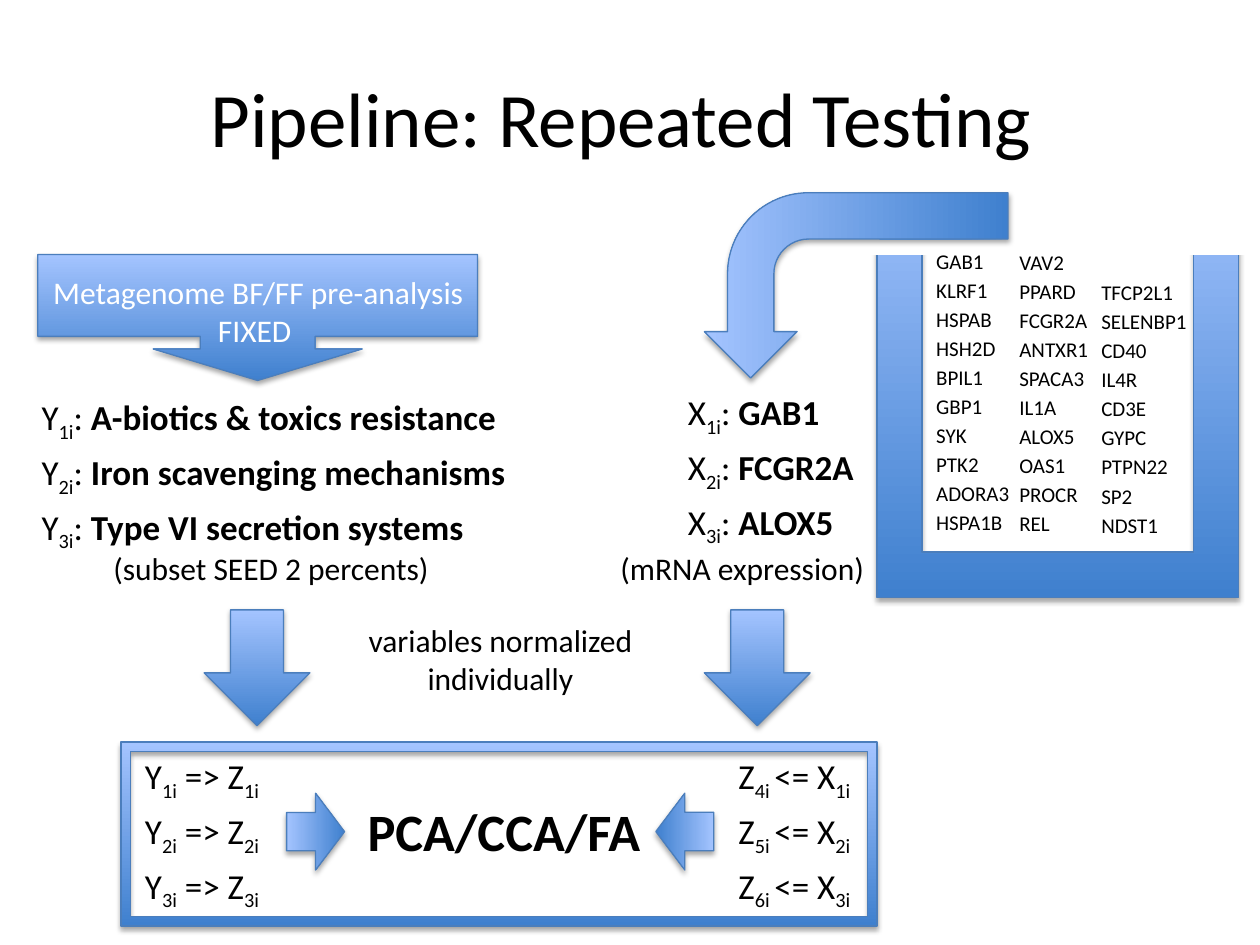
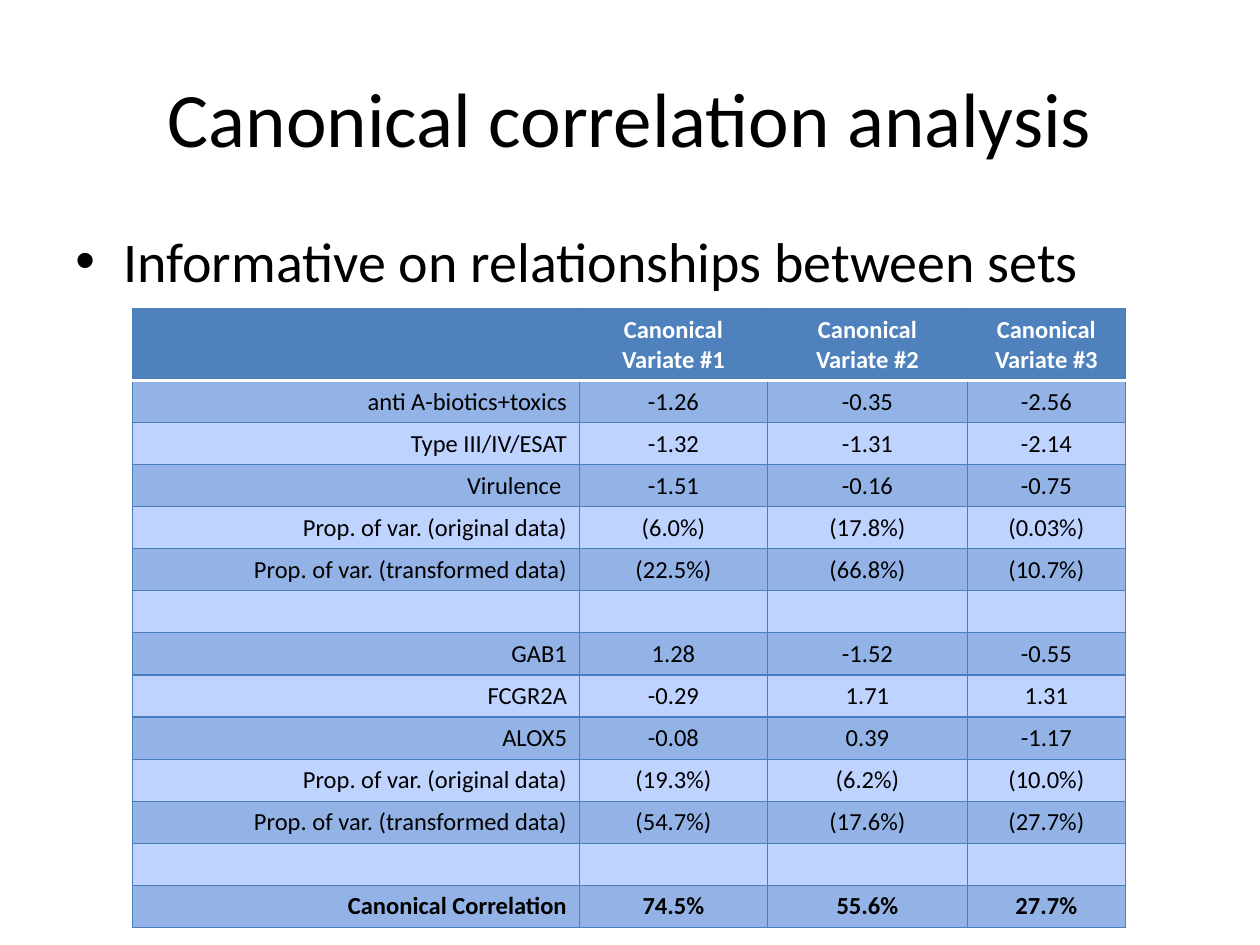
from dataclasses import dataclass

from lxml.etree import SubElement
from pptx import Presentation
from pptx.dml.color import RGBColor
from pptx.enum.shapes import MSO_SHAPE
from pptx.enum.text import MSO_ANCHOR, PP_ALIGN
from pptx.oxml.ns import qn
from pptx.util import Inches, Pt


@dataclass(frozen=True)
class Theme:
    font: str = "Calibri"
    black: str = "000000"
    white: str = "FFFFFF"
    outline: str = "4B7EBC"
    gradient: tuple = ("3F80CE", "A4C4FF")
    header: str = "4F81BD"
    bands: tuple = ("93B2E5", "BFD3FF")
    title: int = 44
    body: int = 32
    method: int = 30
    variable: int = 20
    label: int = 18
    cell: int = 14
    gene: int = 12


theme = Theme()
TITLE_BOX = (0.5, 0.3, 9, 1.25)


def add_text(slide, box, lines, size, align=PP_ALIGN.LEFT, color=theme.black,
             left_margin=0.1, spacing=0, anchor=MSO_ANCHOR.TOP):
    """Add one paragraph per line; *stars* mark bold and _underscores_ mark subscripts."""
    shape = slide.shapes.add_textbox(*map(Inches, box))
    frame = shape.text_frame
    frame.word_wrap = True
    frame.vertical_anchor = anchor
    frame.margin_left = Inches(left_margin)
    for index, line in enumerate(lines):
        paragraph = frame.add_paragraph() if index else frame.paragraphs[0]
        paragraph.alignment = align
        paragraph.space_before = Pt(spacing)
        paragraph.font.name = theme.font
        paragraph.font.size = Pt(size)
        paragraph.font.color.rgb = RGBColor.from_string(color)
        for bold_index, section in enumerate(line.split("*")):
            for subscript_index, text in enumerate(section.split("_")):
                if not text:
                    continue
                run = paragraph.add_run()
                run.text = text
                if bold_index % 2:
                    run.font.bold = True
                if subscript_index % 2:
                    run._r.get_or_add_rPr().set("baseline", "-25000")
    return shape


def add_gradient_shape(slide, kind, box, rotation=0, adjustments=()):
    """Add a blue gradient shape with a soft shadow below it."""
    shape = slide.shapes.add_shape(kind, *map(Inches, box))
    shape.rotation = rotation
    for index, value in enumerate(adjustments):
        shape.adjustments[index] = value
    shape.fill.gradient()
    shape.fill.gradient_angle = 90
    for stop, color, position in zip(shape.fill.gradient_stops, theme.gradient, (0, 1)):
        stop.color.rgb = RGBColor.from_string(color)
        stop.position = position
    shape.line.color.rgb = RGBColor.from_string(theme.outline)
    shape.line.width = Pt(0.75)
    shape.shadow.inherit = False
    effects = shape._element.spPr.find(qn("a:effectLst"))
    shadow = SubElement(effects, qn("a:outerShdw"), blurRad=str(Pt(3.1)), dist=str(Pt(1.8)),
                        dir="5400000", rotWithShape="0")
    shadow_color = SubElement(shadow, qn("a:srgbClr"), val=theme.black)
    SubElement(shadow_color, qn("a:alpha"), val="35000")
    return shape


presentation = Presentation()
presentation.slide_width = Inches(10)
presentation.slide_height = Inches(7.5)
blank_layout = presentation.slide_layouts[6]

# Slide 1: pipeline
slide = presentation.slides.add_slide(blank_layout)

# The white cover opens the top of the gene container
add_gradient_shape(slide, MSO_SHAPE.FRAME, (6.96, 1.27, 2.87, 3.47))
cover = slide.shapes.add_shape(MSO_SHAPE.RECTANGLE, *map(Inches, (6.75, 0.73, 3.15, 1.29)))
cover.shadow.inherit = False
cover.fill.solid()
cover.fill.fore_color.rgb = RGBColor.from_string(theme.white)
cover.line.color.rgb = RGBColor.from_string(theme.white)
cover.line.width = Pt(0.75)

gene_arrow = add_gradient_shape(slide, MSO_SHAPE.BENT_ARROW, (6.06, 1.06, 1.47, 2.41), 270)
gene_arrow._element.spPr.xfrm.set("flipH", "1")
add_gradient_shape(slide, MSO_SHAPE.DOWN_ARROW_CALLOUT, (0.3, 2.02, 3.49, 1),
                   adjustments=(0.911, 0.829, 0.25, 0.65))
for left in (1.62, 5.59):
    add_gradient_shape(slide, MSO_SHAPE.DOWN_ARROW, (left, 4.84, 0.84, 0.92))
for left, rotation in ((5.13, 90), (2.2, 270)):
    add_gradient_shape(slide, MSO_SHAPE.DOWN_ARROW, (left, 6.37, 0.61, 0.46), rotation)
add_gradient_shape(slide, MSO_SHAPE.FRAME, (0.96, 5.89, 6, 1.46), adjustments=(0.052,))

add_text(slide, TITLE_BOX, ["Pipeline: Repeated Testing "], theme.title,
         PP_ALIGN.CENTER, anchor=MSO_ANCHOR.MIDDLE)

gene_columns = [
    (6.83, 1.92, "GAB1 KLRF1 HSPAB HSH2D BPIL1 GBP1 SYK PTK2 ADORA3 HSPA1B"),
    (7.49, 1.93, "VAV2 PPARD FCGR2A ANTXR1 SPACA3 IL1A ALOX5 OAS1 PROCR REL"),
    (8.14, 2.17, "TFCP2L1 SELENBP1 CD40 IL4R CD3E GYPC PTPN22 SP2 NDST1"),
]
for left, top, genes in gene_columns:
    add_text(slide, (left, top, 2.01, 5.27), genes.split(), theme.gene,
             left_margin=0.6, spacing=2.2)

pathways = ["A-biotics & toxics resistance", "Iron scavenging mechanisms",
            "Type VI secretion systems"]
tested_genes = ["GAB1", "FCGR2A", "ALOX5"]
variable_blocks = [
    ((-0.27, 3.09, 4.65, 1.62), [f"Y_{i}i_: *{name}*" for i, name in enumerate(pathways, 1)]),
    ((4.86, 3.05, 2.3, 1.62), [f"X_{i}i_: *{name}*" for i, name in enumerate(tested_genes, 1)]),
    ((0.55, 5.94, 1.95, 1.41), [f"Y_{i}i_ => Z_{i}i_" for i in (1, 2, 3)]),
    ((5.26, 5.94, 1.95, 1.41), [f"Z_{i + 3}i _<= X_{i}i_" for i in (1, 2, 3)]),
]
for box, lines in variable_blocks:
    add_text(slide, box, lines, theme.variable, left_margin=0.6, spacing=4)

labels = [
    ((0.1, 4.31, 4.16, 0.4), ["(subset SEED 2 percents) "], theme.label, theme.black),
    ((3.84, 4.31, 4.16, 0.4), ["(mRNA expression) "], theme.label, theme.black),
    ((-0.03, 2.12, 4.16, 0.71), ["Metagenome BF/FF pre-analysis", "FIXED "],
     theme.label, theme.white),
    ((1.59, 4.88, 4.82, 1.01), ["variables normalized ", "individually "],
     theme.label, theme.black),
    ((1.59, 6.29, 4.82, 0.61), ["*PCA/CCA/FA*"], theme.method, theme.black),
]
for box, lines, size, color in labels:
    add_text(slide, box, lines, size, PP_ALIGN.CENTER, color)

# Slide 2: canonical correlation table
slide = presentation.slides.add_slide(blank_layout)
add_text(slide, TITLE_BOX, ["Canonical correlation analysis"], theme.title,
         PP_ALIGN.CENTER, anchor=MSO_ANCHOR.MIDDLE)
statement = add_text(slide, (0.5, 1.75, 9, 4.95), ["Informative on relationships between sets"],
                     theme.body, spacing=6.4)
properties = statement.text_frame.paragraphs[0]._p.get_or_add_pPr()
properties.set("marL", str(Inches(0.38)))
properties.set("indent", str(Inches(-0.38)))
bullet_font = properties.makeelement(qn("a:buFont"), {"typeface": "Arial"})
bullet = properties.makeelement(qn("a:buChar"), {"char": "•"})
default_font = properties.find(qn("a:defRPr"))
default_font.addprevious(bullet_font)
default_font.addprevious(bullet)

rows = [
    ("", "Canonical\nVariate #1", "Canonical\nVariate #2", "Canonical\nVariate #3"),
    ("anti A-biotics+toxics", "-1.26", "-0.35", "-2.56"),
    ("Type III/IV/ESAT", "-1.32", "-1.31", "-2.14"),
    ("Virulence ", "-1.51", "-0.16", "-0.75"),
    ("Prop. of var. (original data)", "(6.0%)", "(17.8%)", "(0.03%)"),
    ("Prop. of var. (transformed data)", "(22.5%)", "(66.8%)", "(10.7%)"),
    ("", "", "", ""),
    ("GAB1", "1.28", "-1.52", "-0.55"),
    ("FCGR2A", "-0.29", "1.71", "1.31"),
    ("ALOX5", "-0.08", "0.39", "-1.17"),
    ("Prop. of var. (original data)", "(19.3%)", "(6.2%)", "(10.0%)"),
    ("Prop. of var. (transformed data)", "(54.7%)", "(17.6%)", "(27.7%)"),
    ("", "", "", ""),
    ("Canonical Correlation", "74.5%", "55.6%", "27.7%"),
]
last_row = len(rows) - 1
table = slide.shapes.add_table(len(rows), 4, *map(Inches, (1.05, 2.45, 7.88, 4.9))).table
for column, width in zip(table.columns, (3.55, 1.49, 1.59, 1.25)):
    column.width = Inches(width)
for row_index, values in enumerate(rows):
    is_header = row_index == 0
    table.rows[row_index].height = Inches(0.57 if is_header else 0.33)
    fill_color = theme.header if is_header else theme.bands[(row_index - 1) % 2]
    text_color = theme.white if is_header else theme.black
    for column_index, value in enumerate(values):
        cell = table.cell(row_index, column_index)
        cell.text = value
        for side in "LRTB":
            under_header = (row_index, side) in ((0, "B"), (1, "T"))
            border = SubElement(cell._tc.get_or_add_tcPr(), qn(f"a:ln{side}"),
                                w=str(Pt(2 if under_header else 0.75)))
            border_fill = SubElement(border, qn("a:solidFill"))
            SubElement(border_fill, qn("a:srgbClr"),
                       val=theme.white if under_header else theme.outline)
        cell.fill.solid()
        cell.fill.fore_color.rgb = RGBColor.from_string(fill_color)
        for paragraph in cell.text_frame.paragraphs:
            paragraph.alignment = PP_ALIGN.CENTER if column_index else PP_ALIGN.RIGHT
            paragraph.font.name = theme.font
            paragraph.font.size = Pt(theme.cell)
            paragraph.font.bold = row_index in (0, last_row)
            paragraph.font.color.rgb = RGBColor.from_string(text_color)
            if not value:
                SubElement(paragraph._p, qn("a:endParaRPr"), sz=str(theme.cell * 100))

presentation.save("out.pptx")
